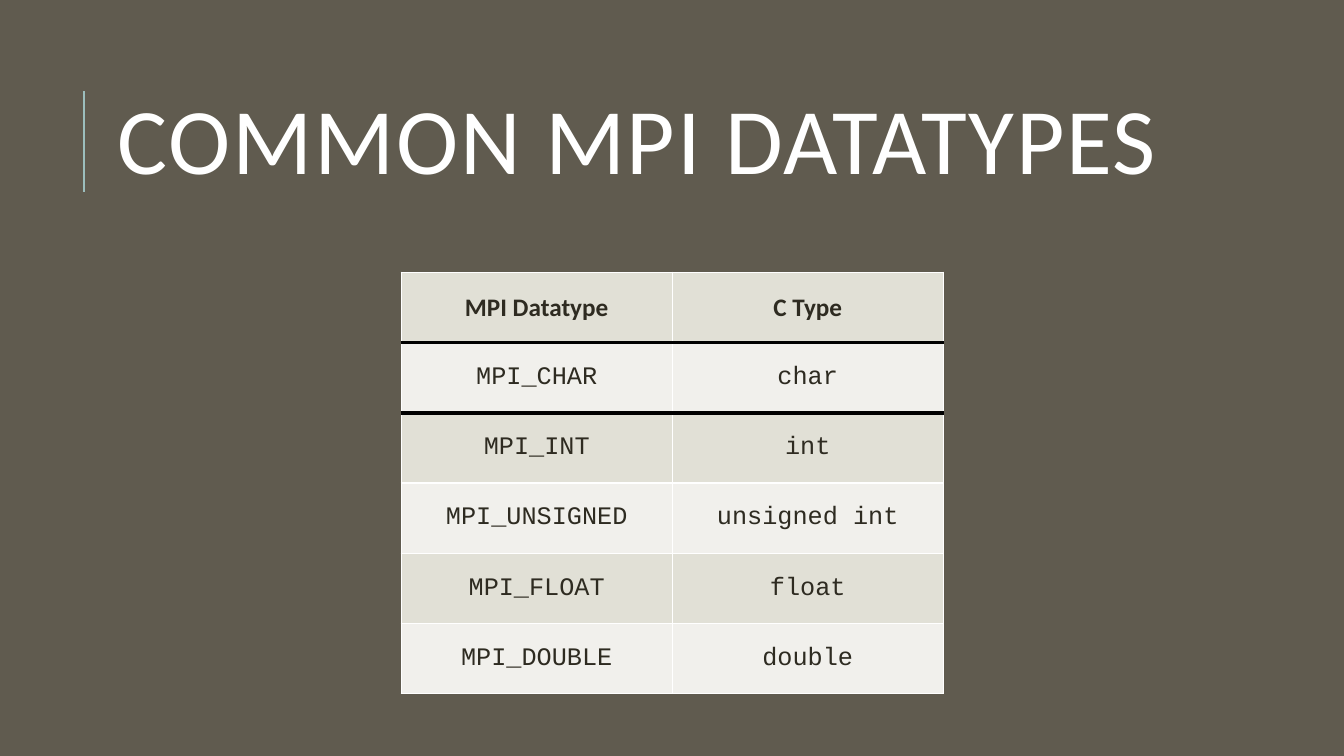
from lxml import etree
from pptx import Presentation
from pptx.dml.color import RGBColor
from pptx.enum.shapes import MSO_CONNECTOR
from pptx.enum.text import MSO_ANCHOR, PP_ALIGN
from pptx.oxml.ns import qn
from pptx.util import Cm, Pt

STRAIGHT = MSO_CONNECTOR.STRAIGHT
MIDDLE = MSO_ANCHOR.MIDDLE
CENTER = PP_ALIGN.CENTER

BACKGROUND = RGBColor(0x60, 0x5B, 0x4F)
ACCENT = RGBColor(0x9C, 0xBE, 0xBD)
WHITE = RGBColor(0xFF, 0xFF, 0xFF)
BLACK = RGBColor(0x00, 0x00, 0x00)
INK = RGBColor(0x2E, 0x2B, 0x21)
BAND_DARK = RGBColor(0xE1, 0xE0, 0xD6)
BAND_LIGHT = RGBColor(0xF1, 0xF0, 0xEC)

ROWS = [
    ("MPI Datatype", "C Type"),
    ("MPI_CHAR", "char"),
    ("MPI_INT", "int"),
    ("MPI_UNSIGNED", "unsigned int"),
    ("MPI_FLOAT", "float"),
    ("MPI_DOUBLE", "double"),
]
# Row boundaries drawn as heavy rules: below the header and below the first row
HEAVY_RULES = (1, 2)


def set_borders(cell, row):
    """Give the cell thin white borders, heavy black at the ruled boundaries."""
    boundaries = (("a:lnL", None), ("a:lnR", None), ("a:lnT", row), ("a:lnB", row + 1))
    tcPr = cell._tc.get_or_add_tcPr()
    for i, (tag, boundary) in enumerate(boundaries):
        heavy = boundary in HEAVY_RULES
        ln = etree.Element(qn(tag), w=str(Pt(3 if heavy else 1)))
        fill = etree.SubElement(ln, qn("a:solidFill"))
        etree.SubElement(fill, qn("a:srgbClr"), val=str(BLACK if heavy else WHITE))
        tcPr.insert(i, ln)


prs = Presentation()
prs.slide_width, prs.slide_height = Cm(33.87), Cm(19.05)
s = prs.slides.add_slide(prs.slide_layouts[6])
s.background.fill.solid()
s.background.fill.fore_color.rgb = BACKGROUND

# Accent line beside the title
line = s.shapes.add_connector(STRAIGHT, Cm(2.12), Cm(4.83), Cm(2.12), Cm(2.29))
line.line.color.rgb = ACCENT
line.line.width = Pt(1.5)
etree.SubElement(line._element.spPr, qn("a:effectLst"))

# Title
sp = s.shapes.add_textbox(Cm(2.84), Cm(1.63), Cm(27), Cm(4.17))
tf = sp.text_frame
tf.word_wrap = True
tf.vertical_anchor = MIDDLE
tf.margin_left = tf.margin_right = tf.margin_top = tf.margin_bottom = Cm(0.13)
p = tf.paragraphs[0]
p.text = "COMMON MPI DATATYPES"
p.line_spacing = 0.8
r = p.runs[0]
r.font.name = "Calibri"
r.font.size = Pt(67)
r.font.color.rgb = WHITE
r.font._element.set("spc", "130")

# Datatype table
col_width, row_height = Cm(6.83), Cm(1.77)
table = s.shapes.add_table(len(ROWS), 2, Cm(10.11), Cm(6.86),
                           2 * col_width, len(ROWS) * row_height).table
for column in table.columns:
    column.width = col_width

for i, texts in enumerate(ROWS):
    table.rows[i].height = row_height
    for j, text in enumerate(texts):
        cell = table.cell(i, j)
        cell.fill.solid()
        cell.fill.fore_color.rgb = BAND_LIGHT if i % 2 else BAND_DARK
        cell.vertical_anchor = MIDDLE
        cell.margin_left = cell.margin_right = cell.margin_top = cell.margin_bottom = 0
        set_borders(cell, i)
        p = cell.text_frame.paragraphs[0]
        p.text = text
        p.alignment = CENTER
        r = p.runs[0]
        r.font.name = "Courier New" if i else "Calibri"
        r.font.size = Pt(18)
        r.font.bold = i == 0
        r.font.color.rgb = INK

prs.save("out.pptx")
